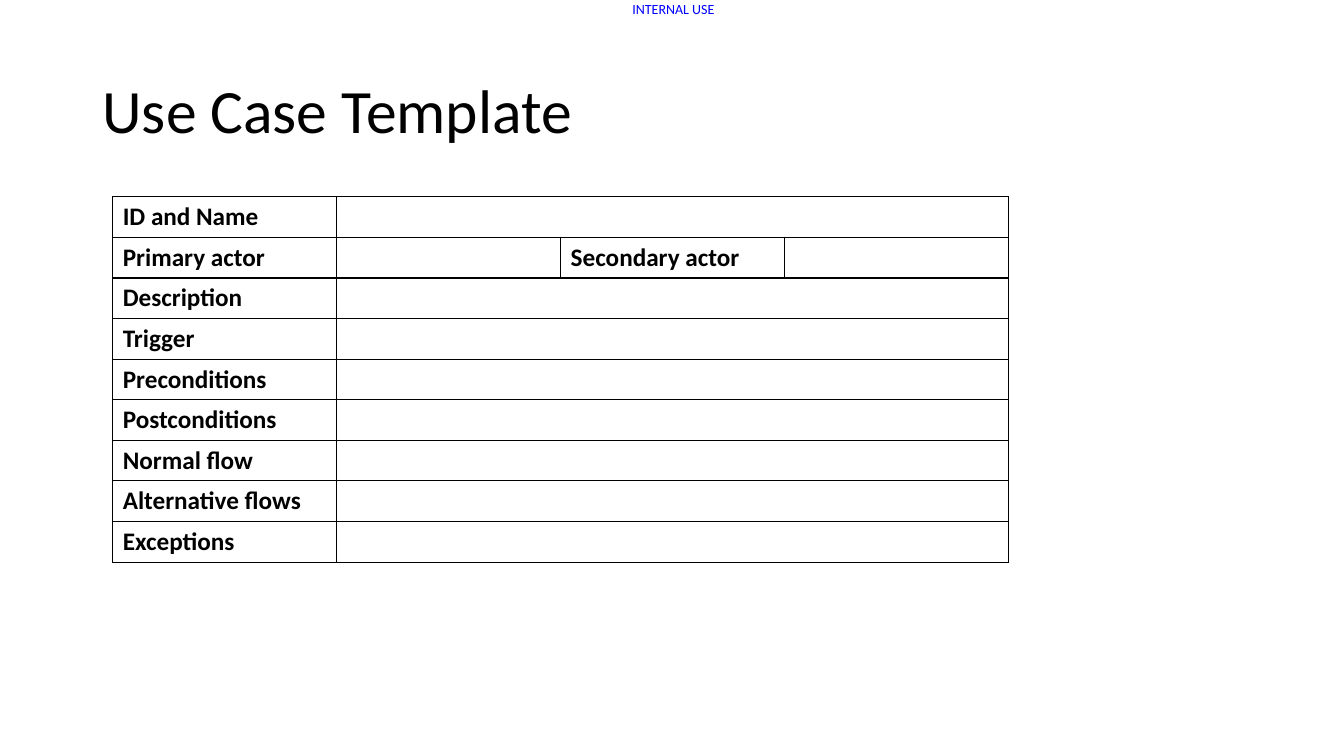
from dataclasses import dataclass

from lxml.etree import SubElement
from pptx import Presentation
from pptx.dml.color import RGBColor as Color
from pptx.enum.text import MSO_ANCHOR as Anchor, MSO_AUTO_SIZE as AutoSize, PP_ALIGN as Align
from pptx.oxml.ns import qn
from pptx.util import Pt

PX = 6350
TITLE_ONLY = 5


@dataclass(frozen=True)
class Theme:
    font: str = "Calibri"
    ink: str = "000000"
    marking: str = "0000FF"
    title_size: int = 44
    table_size: int = 18
    marking_size: int = 10
    border_width: int = 1


THEME = Theme()

USE_CASE_ROWS = [
    ["ID and Name"],
    ["Primary actor", "", "Secondary actor", ""],
    ["Description"],
    ["Trigger"],
    ["Preconditions"],
    ["Postconditions"],
    ["Normal flow"],
    ["Alternative flows"],
    ["Exceptions"],
]


def px(*lengths):
    return [length * PX for length in lengths]


def set_all(target, formats):
    for name, value in formats.items():
        setattr(target, name, value)


def write(frame, text, size, color, bold=False, **para_formats):
    para = frame.paragraphs[0]
    set_all(para, para_formats)
    span = para.add_run()
    span.text = text
    set_all(span.font, {"name": THEME.font, "size": Pt(size), "bold": bold})
    span.font.color.rgb = Color.from_string(color)


def add_marking(page, text):
    box = page.shapes.add_textbox(*px(901, 0, 122, 24))
    set_all(box.text_frame, {
        "margin_left": 0, "margin_right": 0, "margin_top": 0, "margin_bottom": 0,
        "word_wrap": False, "auto_size": AutoSize.SHAPE_TO_FIT_TEXT,
    })
    write(box.text_frame, text, THEME.marking_size, THEME.marking, alignment=Align.CENTER)


def set_title(page, text):
    title = page.shapes.title
    left, top, width, height = px(132, 58, 1656, 209)
    set_all(title, {"left": left, "top": top, "width": width, "height": height})
    set_all(title.text_frame, {"vertical_anchor": Anchor.MIDDLE, "word_wrap": True})
    write(title.text_frame, text, THEME.title_size, THEME.ink,
          alignment=Align.LEFT, line_spacing=0.9)


def style_cell(cell):
    properties = cell._tc.get_or_add_tcPr()
    for side in ("a:lnL", "a:lnR", "a:lnT", "a:lnB"):
        line = SubElement(properties, qn(side), w=str(Pt(THEME.border_width)))
        fill = SubElement(line, qn("a:solidFill"))
        SubElement(fill, qn("a:srgbClr"), val=THEME.ink)
    cell.fill.background()


def add_use_case_table(page, rows):
    column_count = max(map(len, rows))
    column_width, row_height = 320, 58
    area = px(161, 281, column_count * column_width, len(rows) * row_height)
    table = page.shapes.add_table(len(rows), column_count, *area).table
    set_all(table, {"first_row": False, "horz_banding": False})
    for row_index, labels in enumerate(rows):
        for column_index in range(column_count):
            style_cell(table.cell(row_index, column_index))
        for column_index, label in enumerate(labels):
            if label:
                cell = table.cell(row_index, column_index)
                write(cell.text_frame, label, THEME.table_size, THEME.ink, bold=True)
        if len(labels) == 1:
            table.cell(row_index, 1).merge(table.cell(row_index, column_count - 1))


def main():
    deck = Presentation()
    deck.slide_width, deck.slide_height = px(1920, 1080)
    page = deck.slides.add_slide(deck.slide_layouts[TITLE_ONLY])
    add_marking(page, "INTERNAL USE")
    set_title(page, "Use Case Template")
    add_use_case_table(page, USE_CASE_ROWS)
    deck.save("out.pptx")


if __name__ == "__main__":
    main()
